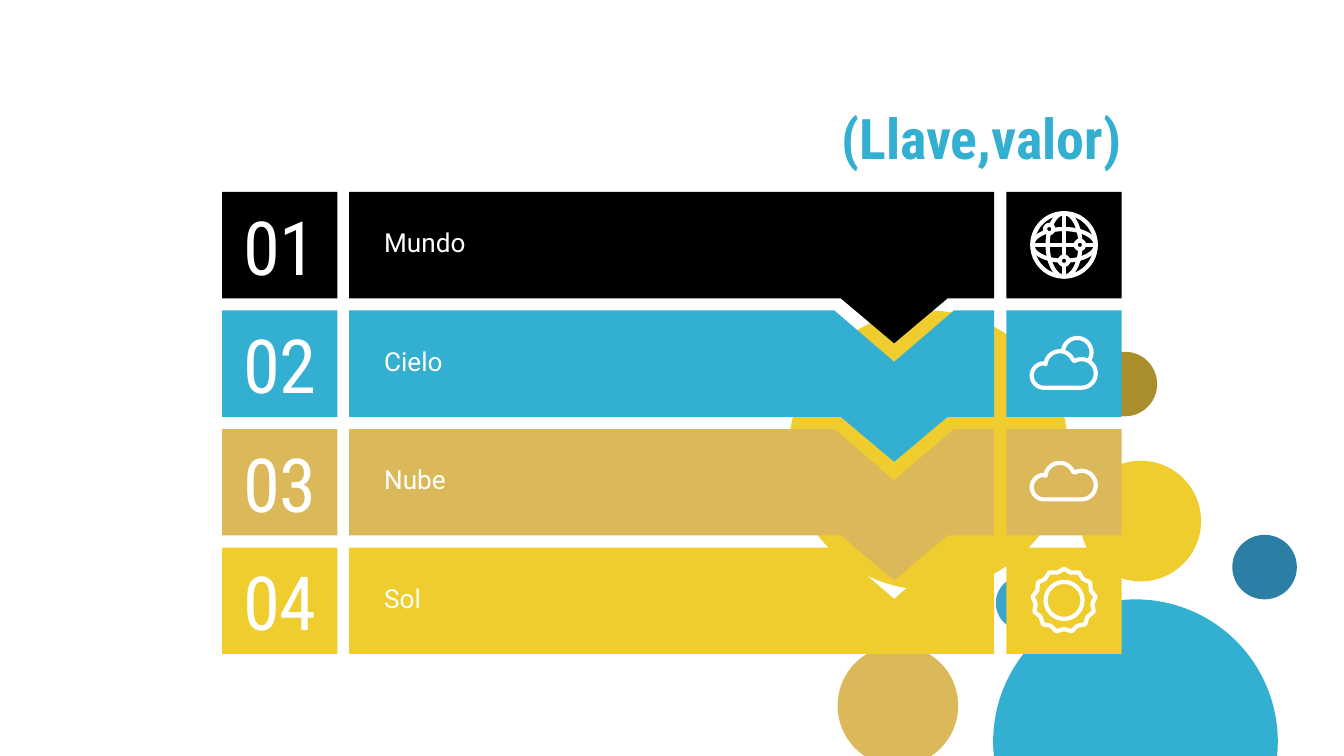
"""Build the key and value slide with four interlocking rows."""
from math import cos, pi, radians, sin

from lxml.etree import SubElement
from pptx import Presentation
from pptx.dml.color import RGBColor as RGB
from pptx.enum.shapes import MSO_CONNECTOR as Link, MSO_SHAPE as Kind
from pptx.enum.text import MSO_ANCHOR as Anchor, PP_ALIGN as Align
from pptx.oxml.ns import qn
from pptx.util import Cm, Pt

BLACK = RGB(0x00, 0x00, 0x00)
WHITE = RGB(0xFF, 0xFF, 0xFF)
BLUE = RGB(0x33, 0xAF, 0xD1)
GOLD = RGB(0xEF, 0xCD, 0x2F)
SAND = RGB(0xDB, 0xB9, 0x5A)
OLIVE = RGB(0xAA, 0x8E, 0x2D)
NAVY = RGB(0x2B, 0x7E, 0xA4)
SKY = RGB(0x3A, 0xA4, 0xCC)
HEAD, BODY = "Roboto Condensed", "Roboto"

TITLE = "(Llave,valor)"
ROWS = [
    ("01", "Mundo", BLACK, "globe"),
    ("02", "Cielo", BLUE, "sky"),
    ("03", "Nube", SAND, "cloud"),
    ("04", "Sol", GOLD, "sun"),
]
DOTS = [
    (17.55, 8.51, 2.64, GOLD),
    (21.46, 14.02, 2.69, BLUE),
    (21.56, 9.85, 1.14, GOLD),
    (21.26, 7.26, 0.61, OLIVE),
    (23.9, 10.72, 0.61, NAVY),
    (16.97, 13.34, 1.14, SAND),
    (19.33, 11.4, 0.51, SKY),
]
NODES = [(-0.28, -0.3), (0.3, 0), (0, 0.3)]
PUFFS = [
    (-0.38, -0.23, 0.23, 90, 270),
    (-0.08, -0.42, 0.27, 185, 335),
    (0.33, -0.27, 0.27, 240, 450),
]
DISC = (0.25, -0.67, 0.27, 190, 400)

TOP, STEP, TALL = 3.63, 2.24, 2.01
NUM, BAR, END, ICON, SIDE = 4.2, 6.6, 18.79, 19.02, 2.18
TIP, MID = 16.9, ICON + SIDE / 2
NOTCH, TAIL = (1.13, 0.97), (1.01, 0.85)
PEN, TEETH = Pt(2.25), 13


def paint(shape, fill=None, line=None):
    shape.shadow.inherit = False
    if fill is None:
        shape.fill.background()
    else:
        shape.fill.solid()
        shape.fill.fore_color.rgb = fill
    if line is None:
        shape.line.fill.background()
    else:
        shape.line.color.rgb = line
        shape.line.width = PEN


def block(shapes, x, y, wide, tall, fill):
    paint(shapes.add_shape(Kind.RECTANGLE, Cm(x), Cm(y), Cm(wide), Cm(tall)), fill)


def oval(shapes, x, y, rx, ry, fill=None, line=None):
    box = Cm(x - rx), Cm(y - ry), Cm(2 * rx), Cm(2 * ry)
    paint(shapes.add_shape(Kind.OVAL, *box), fill, line)


def trace(shapes, spots, fill=None, line=None, close=True):
    first, *rest = [(Cm(x), Cm(y)) for x, y in spots]
    pen = shapes.build_freeform(*first)
    pen.add_line_segments(rest, close=close)
    paint(pen.convert_to_shape(), fill, line)


def stroke(shapes, *ends):
    link = shapes.add_connector(Link.STRAIGHT, *[Cm(v) for v in ends])
    link.line.color.rgb = WHITE
    link.line.width = PEN
    SubElement(link._element.spPr, qn("a:effectLst"))


def write(shapes, box, text, size, font, color=WHITE, pad=0.13, bold=False, align=Align.LEFT):
    frame = shapes.add_textbox(*[Cm(v) for v in box]).text_frame
    frame.word_wrap = True
    frame.vertical_anchor = Anchor.MIDDLE
    frame.margin_left = frame.margin_right = Cm(0.25)
    frame.margin_top = frame.margin_bottom = Cm(pad)
    para = frame.paragraphs[0]
    para.alignment = align
    run = para.add_run()
    run.text = text
    run.font.size, run.font.name, run.font.bold = Pt(size), font, bold
    run.font.color.rgb = color


def arc(x, y, size, start, stop):
    turns = [radians(a) for a in range(start, stop + 1, 5)]
    return [(x + size * cos(t), y + size * sin(t)) for t in turns]


def globe(shapes, y, color):
    for rx, ry in [(0.6, 0.6), (0.31, 0.6), (0.6, 0.3)]:
        oval(shapes, MID, y, rx, ry, line=WHITE)
    stroke(shapes, MID - 0.6, y, MID + 0.6, y)
    stroke(shapes, MID, y - 0.6, MID, y + 0.6)
    for dx, dy in NODES:
        oval(shapes, MID + dx, y + dy, 0.08, 0.08, color, WHITE)


def cloud(shapes, y, color, base=0.33):
    spots = [p for dx, dy, *bend in PUFFS for p in arc(MID + dx, y + base + dy, *bend)]
    trace(shapes, spots, line=WHITE)


def sky(shapes, y, color):
    base = 0.46
    cloud(shapes, y, color, base)
    dx, dy, *bend = DISC
    trace(shapes, arc(MID + dx, y + base + dy, *bend), line=WHITE, close=False)


def sun(shapes, y, color):
    oval(shapes, MID, y, 0.35, 0.35, line=WHITE)
    spots = []
    for i in range(2 * TEETH):
        size, turn = (0.54 if i % 2 else 0.6), pi * i / TEETH
        spots.append((MID + size * sin(turn), y - size * cos(turn)))
    trace(shapes, spots, line=WHITE)


def arrow(shapes, y, color, first, last):
    low = y + TALL
    spots = [(BAR, y)]
    if not first:
        half, deep = NOTCH
        spots += [(TIP - half, y), (TIP, y + deep), (TIP + half, y)]
    spots += [(END, y), (END, low)]
    if not last:
        half, deep = TAIL
        spots += [(TIP + half, low), (TIP, low + deep), (TIP - half, low)]
    trace(shapes, spots + [(BAR, low)], color)


def main():
    draw = {"globe": globe, "sky": sky, "cloud": cloud, "sun": sun}
    deck = Presentation()
    deck.slide_width, deck.slide_height = Cm(25.4), Cm(14.29)
    slide = deck.slides.add_slide(deck.slide_layouts[6])
    for x, y, size, color in DOTS:
        oval(slide.shapes, x, y, size, size, color)
    write(slide.shapes, (15.65, 1.98, 8.15, 1.24), TITLE, 30, HEAD, BLUE, 0.25, True)
    for i, (num, name, color, icon) in enumerate(ROWS):
        y = TOP + i * STEP
        row = slide.shapes.add_group_shape().shapes
        arrow(row, y, color, i == 0, i == len(ROWS) - 1)
        for x in (NUM, ICON):
            block(row, x, y, SIDE, TALL, color)
        write(row, (NUM, y + 0.23, SIDE, 1.55), num, 40, HEAD, align=Align.CENTER)
        write(row, (7.01, y + 0.36, 7.72, 1.19), name, 14, BODY)
        draw[icon](row, y + 1, color)
    deck.save("out.pptx")


if __name__ == "__main__":
    main()
